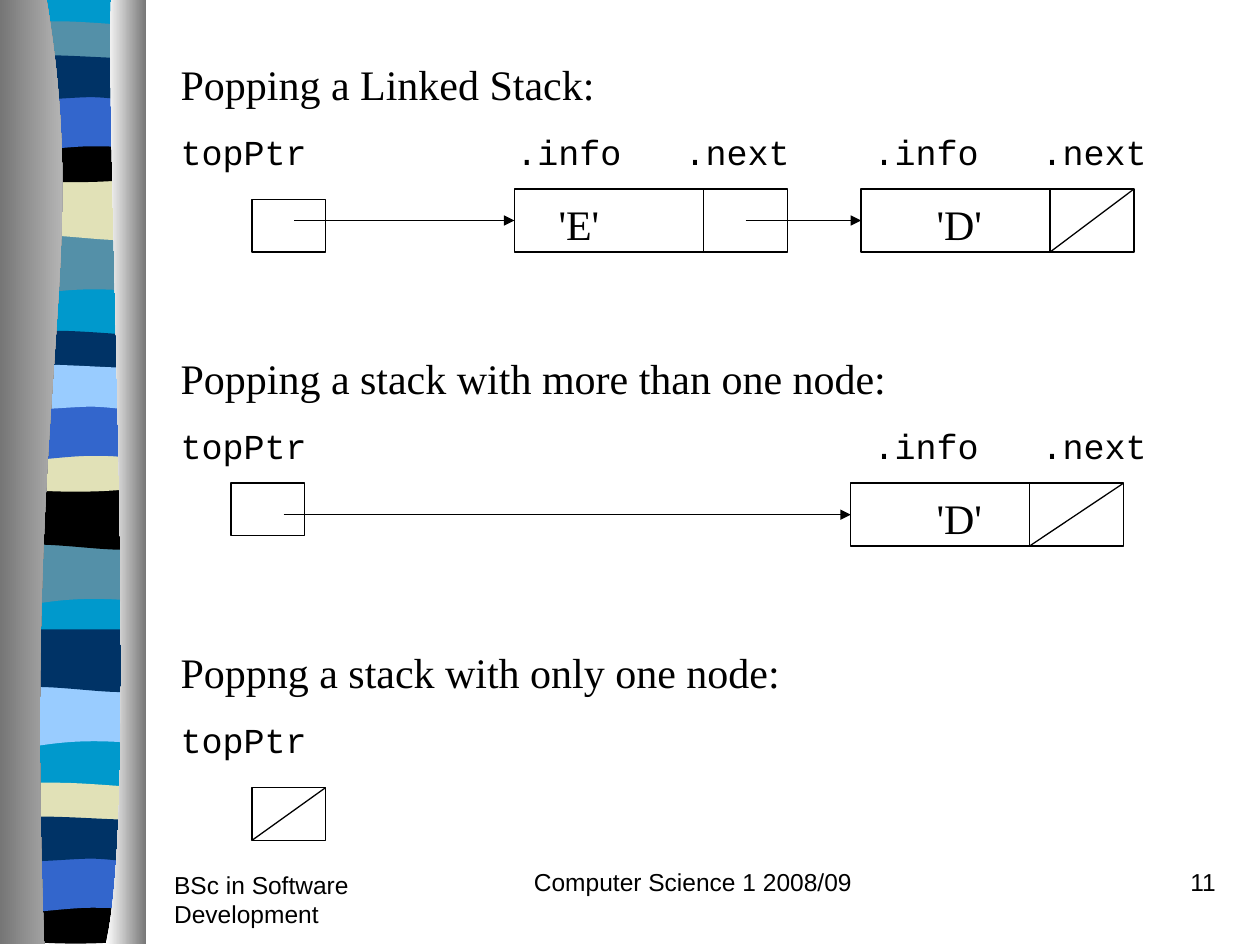
from dataclasses import dataclass
from typing import Optional

import pptx
import pptx.dml.color
import pptx.enum.shapes
import pptx.enum.text
import pptx.oxml.ns
import pptx.util

Cm, Pt = pptx.util.Cm, pptx.util.Pt
Align = pptx.enum.text.PP_ALIGN
qn = pptx.oxml.ns.qn


@dataclass(frozen=True)
class Theme:
    ink: str = "000000"
    sky: str = "0099CC"
    teal: str = "5490A8"
    sand: str = "E1E1B7"
    blue: str = "3366CC"
    navy: str = "003366"
    pale: str = "99CCFF"
    steel: str = "767676"
    silver: str = "D3D3D3"
    white: str = "FFFFFF"
    line: float = 0.75
    heading: tuple = ("Times New Roman", 24)
    code: tuple = ("Courier New", 20)
    footer: tuple = ("Arial", 14)


@dataclass(frozen=True)
class Line:
    text: str
    style: tuple
    before: float = 0
    tabs: tuple = ()
    align: Align = Align.LEFT


@dataclass(frozen=True)
class TextBox:
    left: float
    top: float
    width: float
    height: float
    lines: tuple


@dataclass(frozen=True)
class Cell:
    left: float
    top: float
    width: float = 1.48
    height: float = 1.06
    divider: Optional[float] = None  # distance from the left side
    slash: bool = False  # null pointer mark


@dataclass(frozen=True)
class Arrow:
    start: float
    target: str


THEME = Theme()
RIGHT, LEFT = 2.9, 0.15  # sides of the striped ribbon

# Band outlines: pairs are corners, sixes are Bezier curves
WAVES = {
    "wave": [(RIGHT, 4.7), (RIGHT, 5.89), (0.99, 5.69, 0.61, 6.1, LEFT, 5.89), (LEFT, 4.7)],
    "swell": [(RIGHT, 3.58), (RIGHT, 4.78), (2.44, 4.98, 0.99, 4.62, LEFT, 4.78), (LEFT, 3.58)],
    "lens": [(RIGHT, 0.53), (RIGHT, 1.14), (2.44, 1.24, 0.61, 1.24, LEFT, 1.14), (LEFT, 0.53),
             (0.3, 0.41, 0.74, 0.43, 1.19, 0.43), (1.65, 0.43, 2.54, 0.51, RIGHT, 0.53)],
    "bowl": [(RIGHT, 2.74), (RIGHT, 3.56), (2.44, 3.71, 0.61, 3.71, LEFT, 3.56), (LEFT, 2.74),
             (1.83, 2.87, 2.31, 2.74, RIGHT, 2.74)],
    "arch": [(RIGHT, 1.88), (RIGHT, 3.07), (2.46, 2.95, 2.29, 2.95, 1.83, 2.95),
             (1.37, 2.95, 0.56, 3.07, LEFT, 3.07), (LEFT, 1.88)],
    "fold": [(RIGHT, 1.17), (RIGHT, 1.96), (2.72, 2.08, 2.29, 1.96, 1.83, 1.96),
             (1.37, 1.96, 0.43, 2.08, LEFT, 1.96), (LEFT, 1.17),
             (0.53, 1.04, 2.01, 1.17, 2.46, 1.17)],
}
# Each group of bands: distance down the page and colour of each wave
BAND_GROUPS = [
    (0, dict(wave=THEME.teal, swell=THEME.sand, lens=THEME.teal,
             bowl=THEME.ink, arch=THEME.blue, fold=THEME.navy)),
    (6.24, dict(wave=THEME.teal, swell=THEME.ink, lens=THEME.navy,
                bowl=THEME.sand, arch=THEME.blue, fold=THEME.pale)),
    (9.11, dict(wave=THEME.pale, swell=THEME.navy)),
    (15.35, dict(lens=THEME.sand, bowl=THEME.ink, arch=THEME.blue, fold=THEME.navy)),
]
BASE = [(RIGHT, 0), (RIGHT, 18.97), (LEFT, 18.97), (LEFT, 0)]
LEFT_PILLAR = [(0.94, 0), (1.85, 5.49, 0.46, 7.52, 0.89, 19.03), (0, 19.03), (0, 0)]
RIGHT_PILLAR = [(2.24, 0), (2.13, 3.18, 2.82, 16.41, 2.13, 19.03), (2.95, 19.03), (2.95, 0)]

LABEL_TABS = (6.77, 10.16, 13.97, 17.36)
VALUE_TABS = (7.62, 15.24)
CODE_GAP, NODE_GAP, SECTION_GAP = 12.5, 15, 59
TEXT_BOXES = [
    TextBox(3.26, 17.41, 5.28, 1.27, (Line("BSc in Software Development", THEME.footer),)),
    TextBox(9.95, 17.36, 8.04, 1.27,
            (Line("Computer Science 1 2008/09", THEME.footer, align=Align.CENTER),)),
    TextBox(19.48, 17.36, 5.28, 1.27, (Line("11", THEME.footer, align=Align.RIGHT),)),
    TextBox(3.39, 1.05, 20.74, 17.5, (
        Line("Popping a Linked Stack:", THEME.heading),
        Line("topPtr\t.info\t.next\t.info\t.next", THEME.code, CODE_GAP, LABEL_TABS),
        Line("\t'E'\t'D'", THEME.heading, NODE_GAP, VALUE_TABS),
        Line("Popping a stack with more than one node:", THEME.heading, SECTION_GAP),
        Line("topPtr\t.info\t.next", THEME.code, CODE_GAP, LABEL_TABS[2:]),
        Line("\t'D'", THEME.heading, NODE_GAP, VALUE_TABS[1:]),
        Line("Poppng a stack with only one node:", THEME.heading, SECTION_GAP),
        Line("topPtr", THEME.code, CODE_GAP),
    )),
]

CELLS = {
    "second pointer": Cell(4.66, 9.74),
    "second D": Cell(17.15, 9.74, 5.5, 1.27, 3.6, True),
    "first pointer": Cell(5.08, 4.02),
    "first D": Cell(17.36, 3.81, 5.5, 1.27, 3.81, True),
    "first E": Cell(10.37, 3.81, 5.5, 1.27, 3.81),
    "null pointer": Cell(5.08, 15.88, slash=True),
}
ARROWS = [Arrow(5.72, "second D"), Arrow(5.93, "first E"), Arrow(15.03, "first D")]


def apply(target, values: dict) -> None:
    for name, value in values.items():
        setattr(target, name, value)


def rgb(code: str):
    return pptx.dml.color.RGBColor.from_string(code)


def bend(shape, outline: list) -> None:
    """Join the three segments that stand for each curve into one Bezier."""
    segments = iter(list(shape._element.iter(qn("a:lnTo"))))
    for part in outline[1:]:
        first = next(segments)
        if len(part) == 6:
            curve = first.makeelement(qn("a:cubicBezTo"), {})
            first.addprevious(curve)
            for segment in (first, next(segments), next(segments)):
                curve.append(segment[0])
                segment.getparent().remove(segment)


def draw_outline(page, outline: list, colours: tuple, down: float = 0) -> None:
    points = [(Cm(part[i]), Cm(part[i + 1] + down))
              for part in outline for i in range(0, len(part), 2)]
    builder = page.shapes.build_freeform(*points[0])
    builder.add_line_segments(points[1:], close=True)
    shape = builder.convert_to_shape()
    bend(shape, outline)
    shape.shadow.inherit = False
    shape.line.fill.background()
    if len(colours) == 1:
        shape.fill.solid()
        shape.fill.fore_color.rgb = rgb(colours[0])
        return
    shape.fill.gradient()
    shape.fill.gradient_angle = 0
    for stop, colour in zip(shape.fill.gradient_stops, colours):
        stop.color.rgb = rgb(colour)


def add_tabs(para, tabs: tuple) -> None:
    properties = para._p.get_or_add_pPr()
    stops = properties.makeelement(qn("a:tabLst"), {})
    properties.append(stops)
    for tab in tabs:
        stops.append(stops.makeelement(qn("a:tab"), {"pos": str(Cm(tab)), "algn": "l"}))


def draw_text(page, content: TextBox) -> None:
    box = page.shapes.add_textbox(*map(Cm, (content.left, content.top,
                                            content.width, content.height)))
    box.text_frame.word_wrap = True
    for index, line in enumerate(content.lines):
        para = box.text_frame.add_paragraph() if index else box.text_frame.paragraphs[0]
        if line.tabs:
            add_tabs(para, line.tabs)
        apply(para, {"alignment": line.align, "space_before": Pt(line.before)})
        span = para.add_run()
        span.text = line.text
        face, size = line.style
        apply(span.font, {"name": face, "size": Pt(size)})
        span.font.color.rgb = rgb(THEME.ink)


def draw_line(page, start: tuple, end: tuple):
    line = page.shapes.add_connector(pptx.enum.shapes.MSO_CONNECTOR.STRAIGHT,
                                     *map(Cm, start + end))
    line.line.color.rgb = rgb(THEME.ink)
    line.line.width = Pt(THEME.line)
    properties = line._element.spPr
    properties.append(properties.makeelement(qn("a:effectLst"), {}))
    return line


def draw_cell(page, cell: Cell):
    box = page.shapes.add_shape(pptx.enum.shapes.MSO_SHAPE.RECTANGLE,
                                *map(Cm, (cell.left, cell.top, cell.width, cell.height)))
    box.shadow.inherit = False
    box.fill.background()
    box.line.color.rgb = rgb(THEME.ink)
    box.line.width = Pt(THEME.line)
    split, bottom = cell.left + (cell.divider or 0), cell.top + cell.height
    if cell.divider:
        draw_line(page, (split, cell.top), (split, bottom))
    if cell.slash:
        draw_line(page, (split, bottom), (cell.left + cell.width, cell.top))
    return box


def draw_arrow(page, arrow: Arrow, boxes: dict) -> None:
    cell = CELLS[arrow.target]
    middle = cell.top + cell.height / 2
    line = draw_line(page, (arrow.start, middle), (cell.left, middle))
    line.end_connect(boxes[arrow.target], 1)
    outline = line.line._get_or_add_ln()
    outline.append(outline.makeelement(qn("a:tailEnd"), {"type": "triangle"}))


def main() -> None:
    deck = pptx.Presentation()
    apply(deck, {"slide_width": Cm(25.4), "slide_height": Cm(19.05)})
    page = deck.slides.add_slide(deck.slide_layouts[6])

    # Striped ribbon between two shaded pillars
    draw_outline(page, BASE, (THEME.sky,))
    for down, colours in BAND_GROUPS:
        for wave, colour in colours.items():
            draw_outline(page, WAVES[wave], (colour,), down)
    draw_outline(page, LEFT_PILLAR, (THEME.steel, THEME.silver))
    draw_outline(page, RIGHT_PILLAR, (THEME.white, THEME.steel))

    # Footer and body text
    for text_box in TEXT_BOXES:
        draw_text(page, text_box)

    # Linked stack diagrams
    boxes = {name: draw_cell(page, cell) for name, cell in CELLS.items()}
    for arrow in ARROWS:
        draw_arrow(page, arrow, boxes)

    deck.save("out.pptx")


if __name__ == "__main__":
    main()
